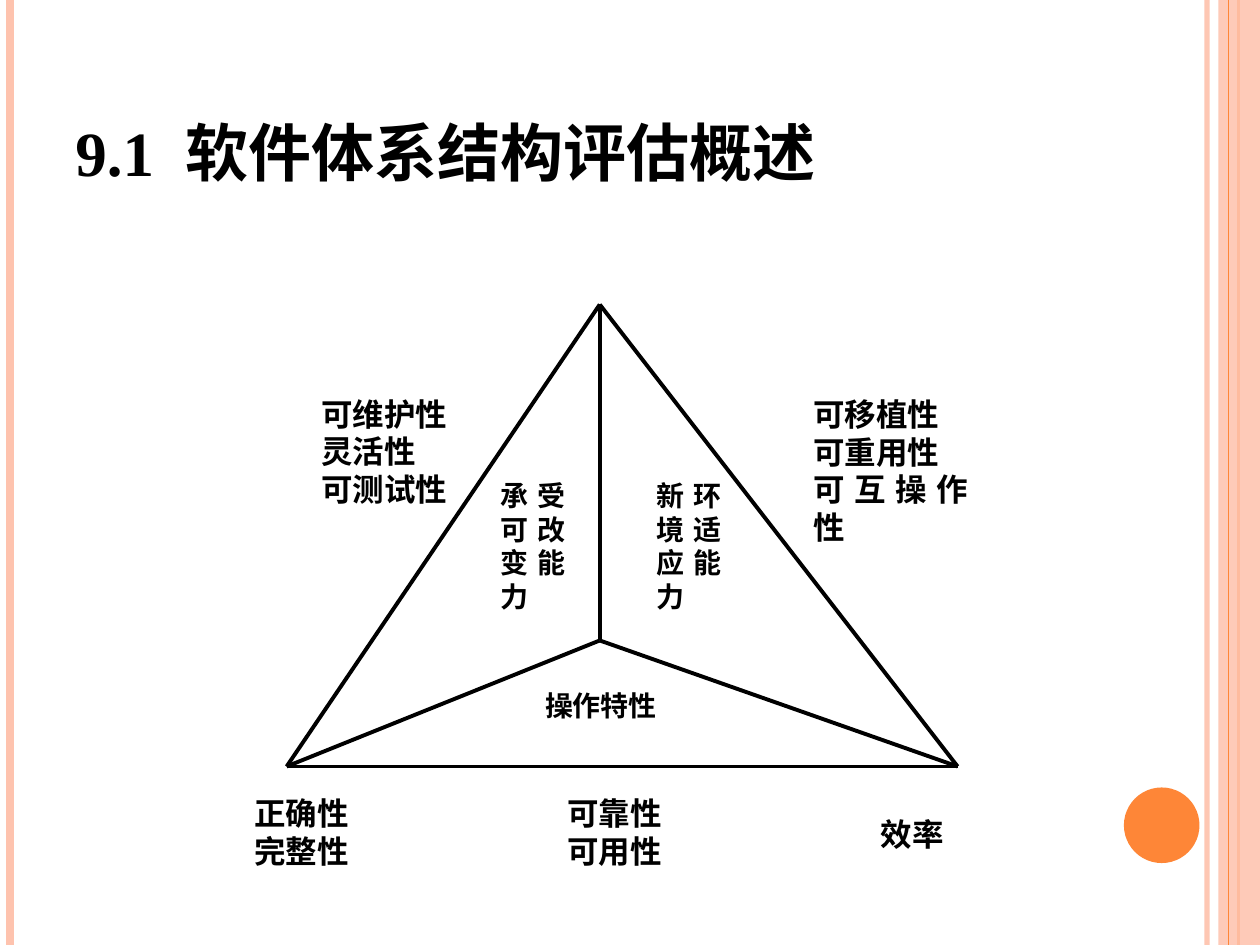
from lxml import etree
from pptx import Presentation
from pptx.dml.color import RGBColor
from pptx.enum.shapes import MSO_CONNECTOR, MSO_SHAPE
from pptx.enum.text import MSO_ANCHOR, PP_ALIGN
from pptx.oxml.ns import qn
from pptx.util import Inches, Pt

STRAIGHT = MSO_CONNECTOR.STRAIGHT
RECTANGLE, OVAL = MSO_SHAPE.RECTANGLE, MSO_SHAPE.OVAL
TOP, BOTTOM = MSO_ANCHOR.TOP, MSO_ANCHOR.BOTTOM
LEFT, JUSTIFY = PP_ALIGN.LEFT, PP_ALIGN.JUSTIFY

WIDTH, HEIGHT = 10, 7.5
COLORS = {"peach": "FEC3AE", "orange": "FE8637", "ink": "000000"}
FONT = "Times New Roman"

# Diagram grid: columns start at the left edge of the diagram, rows at the slide top
GRID_LEFT, COLUMN, ROW = 1.92, 1.42 / 8, HEIGHT / 90

# Side stripes: x, colour, weight in points, opacity in percent
STRIPES_BEHIND = [(9.58, "peach", 3, 93), (0.08, "peach", 4.5, 100),
                  (9.83, "orange", 1.5, 100)]
STRIPE_FRONT = (9.75, "orange", 0.75, 100)

# Corners of the triangle and its inner meeting point: column, row
APEX, CENTRE, LEFT_CORNER, RIGHT_CORNER = (16, 29), (16, 61), (2, 73), (32, 73)
EDGES = [(APEX, LEFT_CORNER), (CENTRE, APEX), (CENTRE, LEFT_CORNER),
         (CENTRE, RIGHT_CORNER), (APEX, RIGHT_CORNER), (LEFT_CORNER, RIGHT_CORNER)]

# Labels: column, row, columns wide, rows high, paragraphs
FACE_SIZE, QUALITY_SIZE = 16, 18
FACES = [(11, 45, 4, 18, ["承受可改变能力"]),
         (18, 45, 4, 18, ["新环境适应能力"]),
         (13, 65, 7, 6, ["操作特性"])]
QUALITIES = [(0, 75, 6, 10, ["正确性", "完整性"]),
             (14, 75, 7, 10, ["可靠性", "可用性"]),
             (3, 37, 7, 18, ["可维护性", "灵活性", "可测试性"]),
             (25, 37, 8, 20, ["可移植性", "可重用性", "可互操作性"]),
             (28, 77, 6, 6, ["效率"])]


def grid_point(column, row):
    return GRID_LEFT + column * COLUMN, row * ROW


def set_opacity(properties, percent):
    color = properties.find(".//" + qn("a:srgbClr"))
    etree.SubElement(color, qn("a:alpha"), val=str(percent * 1000))


def add_line(slide, start, end, color, weight, opacity=100):
    line = slide.shapes.add_connector(STRAIGHT, *map(Inches, start + end))
    line.line.color.rgb = RGBColor.from_string(COLORS[color])
    line.line.width = Pt(weight)
    properties = line._element.spPr
    if opacity < 100:
        set_opacity(properties, opacity)
    etree.SubElement(properties, qn("a:effectLst"))


def add_stripe(slide, x, color, weight, opacity):
    add_line(slide, (x, 0), (x, HEIGHT), color, weight, opacity)


def add_solid(slide, preset, box, color, opacity=100):
    solid = slide.shapes.add_shape(preset, *map(Inches, box))
    solid.shadow.inherit = False
    solid.fill.solid()
    solid.fill.fore_color.rgb = RGBColor.from_string(COLORS[color])
    solid.line.fill.background()
    if opacity < 100:
        set_opacity(solid._element.spPr, opacity)


def add_text(slide, box, lines, size, align=JUSTIFY, anchor=TOP):
    frame = slide.shapes.add_textbox(*map(Inches, box)).text_frame
    frame.word_wrap = True
    frame.vertical_anchor = anchor
    frame.text = "\n".join(lines)
    font_format = {"name": FONT, "size": Pt(size), "bold": True}
    for paragraph in frame.paragraphs:
        paragraph.alignment = align
        for run in paragraph.runs:
            for attribute, value in font_format.items():
                setattr(run.font, attribute, value)
            run.font.color.rgb = RGBColor.from_string(COLORS["ink"])
    return frame


def add_title(slide, number, heading):
    box = (0.05 * WIDTH, 0.04 * HEIGHT, 8.17, 1.25)
    frame = add_text(slide, box, [number], 36, LEFT, BOTTOM)
    paragraph = frame.paragraphs[0]
    number_font = paragraph.runs[0].font
    # The gap after the number is one space, widened by 9 points
    for text, tracking in ((" ", 900), (heading, 0)):
        run = paragraph.add_run()
        run.text = text
        for attribute in ("name", "size", "bold"):
            setattr(run.font, attribute, getattr(number_font, attribute))
        run.font.color.rgb = number_font.color.rgb
        run._r.get_or_add_rPr().set("spc", str(tracking))


def add_labels(slide, labels, size):
    for column, row, columns, rows, lines in labels:
        box = (*grid_point(column, row), columns * COLUMN, rows * ROW)
        add_text(slide, box, lines, size)


def main():
    deck = Presentation()
    deck.slide_width, deck.slide_height = Inches(WIDTH), Inches(HEIGHT)
    slide = deck.slides.add_slide(deck.slide_layouts[6])

    # Side decoration
    for stripe in STRIPES_BEHIND:
        add_stripe(slide, *stripe)
    add_solid(slide, RECTANGLE, (9.67, 0, 0.33, HEIGHT), "peach", 87)
    add_stripe(slide, *STRIPE_FRONT)
    add_solid(slide, OVAL, (8.92, 6.25, 0.6, 0.6), "orange")

    add_title(slide, "9.1", "软件体系结构评估概述")

    # Triangle of quality factors
    add_labels(slide, FACES, FACE_SIZE)
    for start, end in EDGES:
        add_line(slide, grid_point(*start), grid_point(*end), "ink", 2.25)
    add_labels(slide, QUALITIES, QUALITY_SIZE)

    deck.save("out.pptx")


if __name__ == "__main__":
    main()
